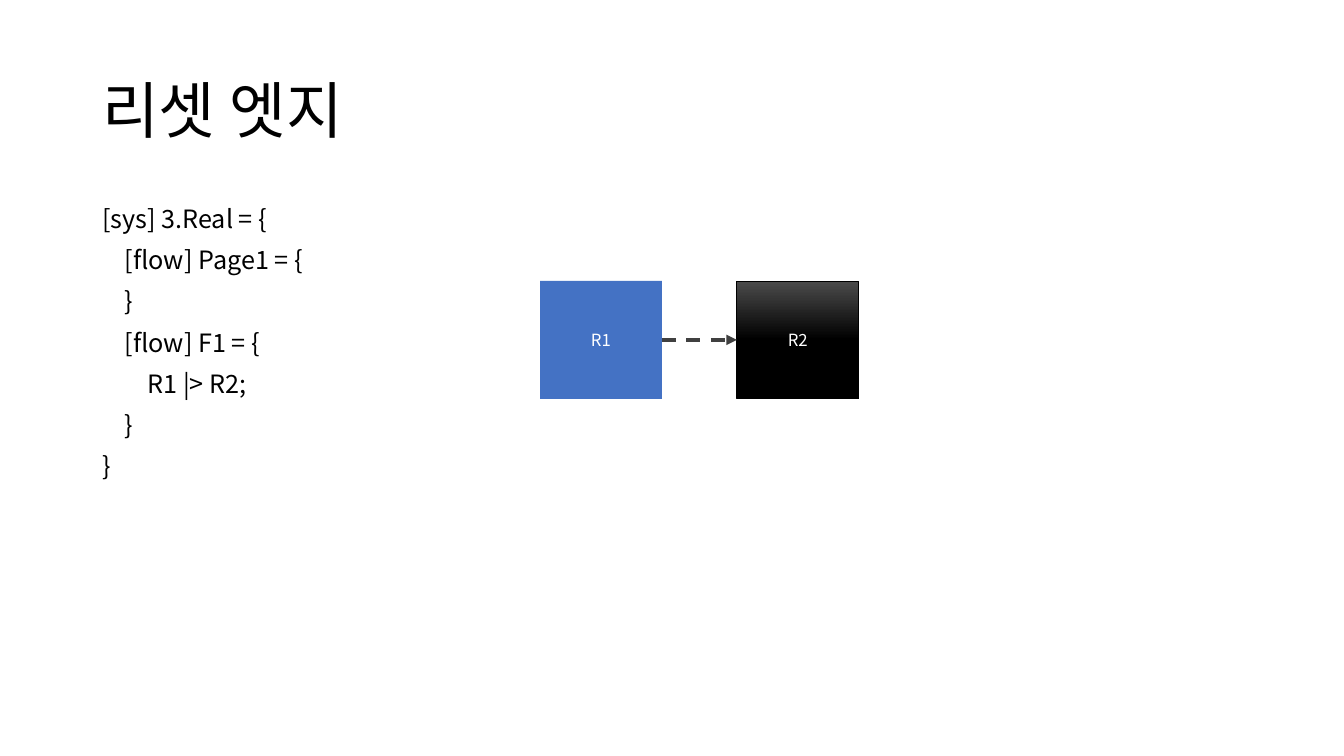
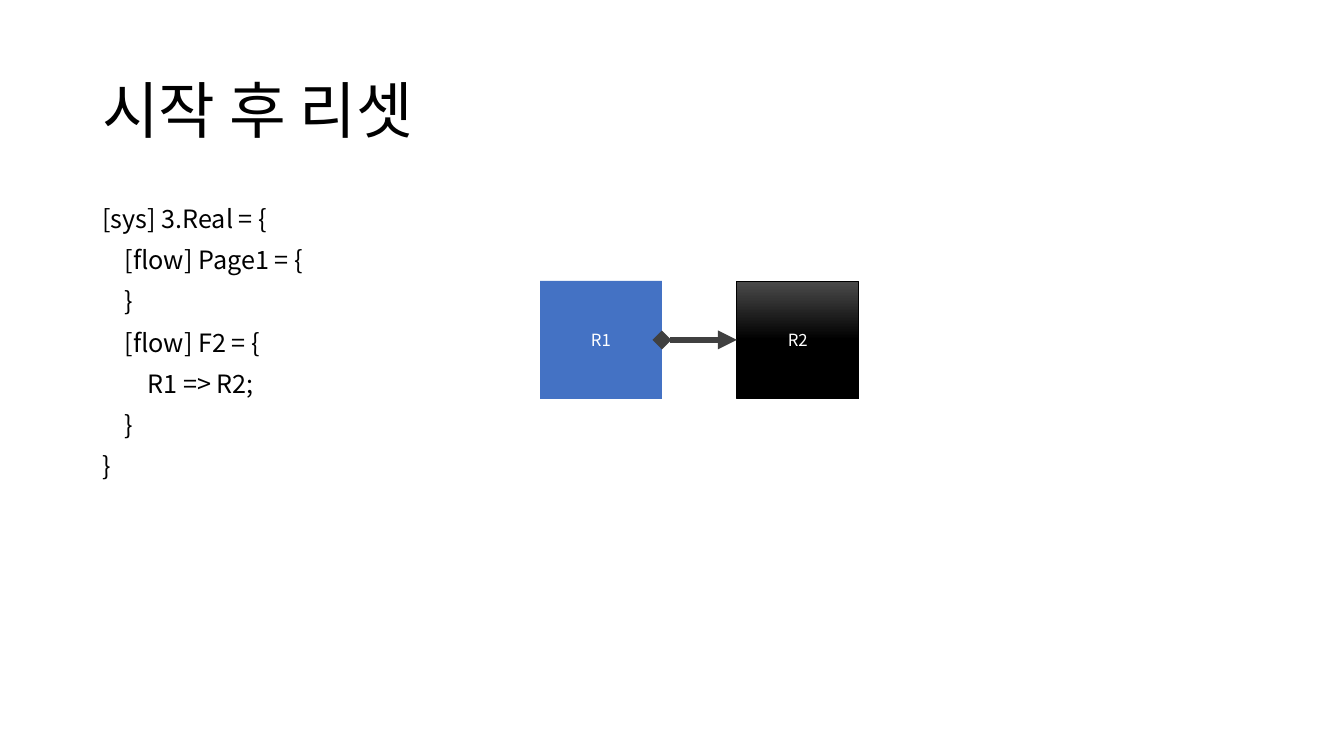
from dataclasses import dataclass

from lxml.etree import SubElement
from pptx import Presentation
from pptx.dml.color import RGBColor
from pptx.enum.dml import MSO_LINE
from pptx.enum.shapes import MSO_CONNECTOR, MSO_SHAPE
from pptx.enum.text import MSO_ANCHOR, PP_ALIGN
from pptx.oxml.ns import qn
from pptx.util import Cm, Pt


@dataclass(frozen=True)
class Theme:
    font: str = "Noto Sans CJK KR"
    text: RGBColor = RGBColor(0x00, 0x00, 0x00)
    node_text: RGBColor = RGBColor(0xFF, 0xFF, 0xFF)
    source: RGBColor = RGBColor(0x44, 0x72, 0xC4)
    target_top: RGBColor = RGBColor(0x4B, 0x4B, 0x4B)
    target: RGBColor = RGBColor(0x00, 0x00, 0x00)
    edge: RGBColor = RGBColor(0x40, 0x40, 0x40)
    title_size: int = 44
    code_size: int = 18
    node_size: int = 12


THEME = Theme()

# Shared layout
MARGIN, CONTENT_WIDTH = Cm(2.33), Cm(29.21)
NODE_TOP, NODE_WIDTH, NODE_HEIGHT = Cm(7.08), Cm(3.07), Cm(2.97)
SOURCE_LEFT, TARGET_LEFT = Cm(13.61), Cm(18.57)

CODE = """[sys] 3.Real = {{
    [flow] Page1 = {{
    }}
    [flow] {flow} = {{
        {rule};
    }}
}}"""


def style_runs(paragraph, size, color):
    for run in paragraph.runs:
        run.font.name = THEME.font
        run.font.size = Pt(size)
        run.font.color.rgb = color
        SubElement(run.font._element, qn("a:ea"), typeface=THEME.font)


def add_text(slide, text, top, height, size, anchor):
    box = slide.shapes.add_textbox(MARGIN, top, CONTENT_WIDTH, height)
    frame = box.text_frame
    frame.word_wrap = True
    frame.vertical_anchor = anchor
    frame.text = text
    for index, paragraph in enumerate(frame.paragraphs):
        paragraph.line_spacing = 0.9
        if index:
            paragraph.space_before = Pt(10)
        style_runs(paragraph, size, THEME.text)


def add_node(slide, label, left):
    node = slide.shapes.add_shape(
        MSO_SHAPE.RECTANGLE, left, NODE_TOP, NODE_WIDTH, NODE_HEIGHT)
    node.shadow.inherit = False
    frame = node.text_frame
    frame.text = label
    frame.vertical_anchor = MSO_ANCHOR.MIDDLE
    frame.paragraphs[0].alignment = PP_ALIGN.CENTER
    style_runs(frame.paragraphs[0], THEME.node_size, THEME.node_text)
    return node


def add_source(slide):
    node = add_node(slide, "R1", SOURCE_LEFT)
    node.fill.solid()
    node.fill.fore_color.rgb = THEME.source
    node.line.fill.background()
    return node


def add_target(slide):
    node = add_node(slide, "R2", TARGET_LEFT)
    # Fades to the dark colour over the upper half
    node.fill.gradient()
    node.fill.gradient_angle = 270
    stops = ((0, THEME.target_top), (0.5, THEME.target))
    for stop, (position, color) in zip(node.fill.gradient_stops, stops):
        stop.position = position
        stop.color.rgb = color
    node.line.color.rgb = THEME.target
    node.line.width = Pt(0.5)
    return node


def add_edge(slide, source, target, width, dash=None, head=None):
    edge = slide.shapes.add_connector(MSO_CONNECTOR.STRAIGHT, 0, 0, 0, 0)
    edge.begin_connect(source, 3)
    edge.end_connect(target, 1)
    edge.line.color.rgb = THEME.edge
    edge.line.width = Pt(width)
    if dash:
        edge.line.dash_style = dash
    # Line ends, and no shadow
    properties = edge._element.spPr
    outline = properties.find(qn("a:ln"))
    if head:
        SubElement(outline, qn("a:headEnd"), type=head)
    SubElement(outline, qn("a:tailEnd"), type="triangle")
    SubElement(properties, qn("a:effectLst"))


def add_edge_slide(deck, title, flow, rule, **edge_style):
    slide = deck.slides.add_slide(deck.slide_layouts[6])
    add_text(slide, title, Cm(1.01), Cm(3.68), THEME.title_size, MSO_ANCHOR.MIDDLE)
    add_text(slide, CODE.format(flow=flow, rule=rule), Cm(5.08), Cm(12.09),
             THEME.code_size, MSO_ANCHOR.TOP)
    add_edge(slide, add_source(slide), add_target(slide), **edge_style)


def main():
    deck = Presentation()
    deck.slide_width, deck.slide_height = Cm(33.87), Cm(19.05)
    add_edge_slide(deck, "리셋 엣지", "F1", "R1 |> R2", width=2.5, dash=MSO_LINE.DASH)
    add_edge_slide(deck, "시작 후 리셋", "F2", "R1 => R2", width=4.5, head="diamond")
    deck.save("out.pptx")


if __name__ == "__main__":
    main()
